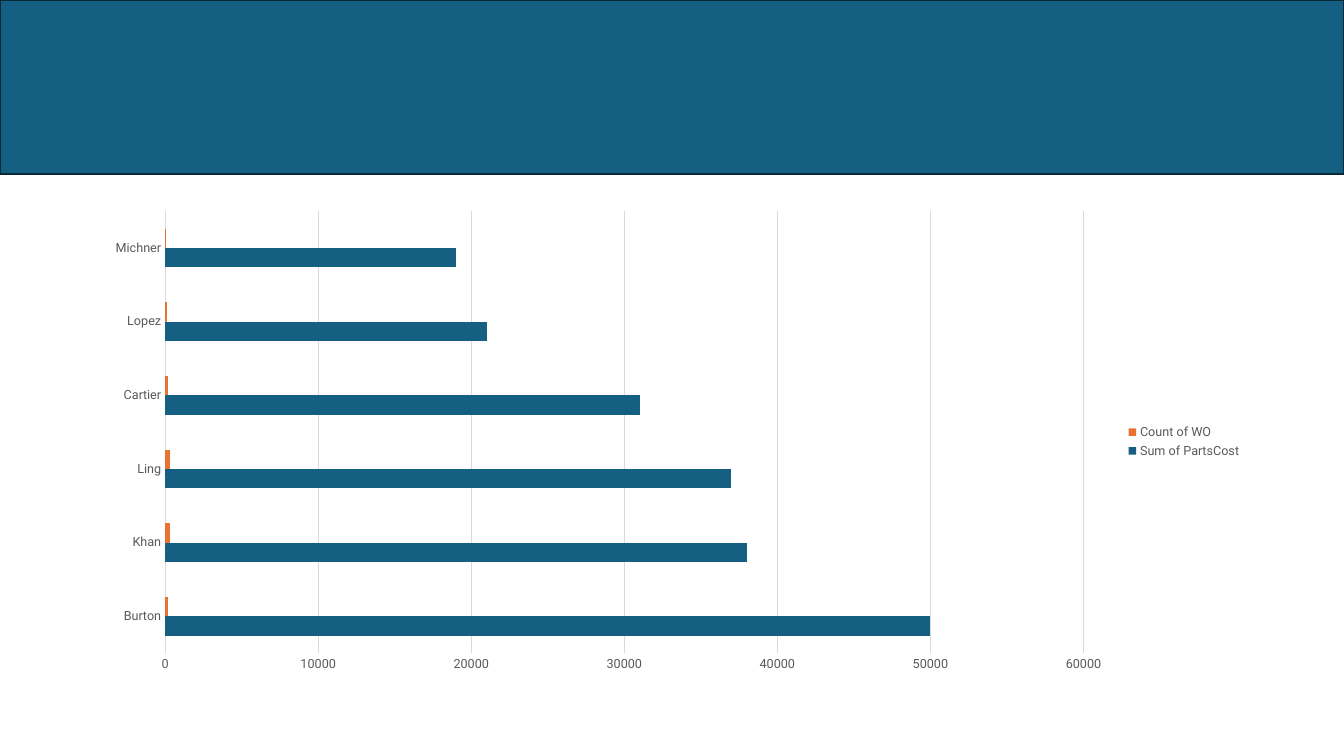
from dataclasses import dataclass

from pptx import Presentation
from pptx import util as u
from pptx.chart.data import CategoryChartData
from pptx.dml.color import RGBColor
from pptx.enum import chart as ch, shapes

COLORS = {
    "blue": "156082",
    "navy": "092A39",
    "orange": "E97132",
    "grey": "595959",
    "rule": "D9D9D9",
}
FONT = "Roboto"
WIDTH, HEIGHT = u.Inches(13.33), u.Inches(7.5)


@dataclass(frozen=True)
class PercentBox:
    left: float
    top: float
    width: float
    height: float

    def place(self) -> tuple[int, int, int, int]:
        return (int(self.left * WIDTH / 100), int(self.top * HEIGHT / 100),
                int(self.width * WIDTH / 100), int(self.height * HEIGHT / 100))


@dataclass(frozen=True)
class Measure:
    name: str
    values: tuple[int, ...]
    color: str


BANNER = PercentBox(0, 0, 100, 23.07)
CHART = PercentBox(6.88, 26.67, 86.25, 63.47)
TECHNICIANS = ("Burton", "Khan", "Ling", "Cartier", "Lopez", "Michner")
MEASURES = (
    Measure("Sum of PartsCost", (50000, 38000, 37000, 31000, 21000, 19000), "blue"),
    Measure("Count of WO", (200, 300, 300, 200, 100, 40), "orange"),
)


def rgb(name: str) -> RGBColor:
    return RGBColor.from_string(COLORS[name])


def paint(fill, color: str) -> None:
    fill.solid()
    fill.fore_color.rgb = rgb(color)


def draw_line(line, color: str, points: float) -> None:
    paint(line.fill, color)
    line.width = u.Pt(points)


def set_font(font, size: float) -> None:
    font.name = FONT
    font.size = u.Pt(size)
    font.color.rgb = rgb("grey")


def add_banner(slide, box: PercentBox) -> None:
    sp = slide.shapes.add_shape(shapes.MSO_SHAPE.RECTANGLE, *box.place())
    sp.shadow.inherit = False
    paint(sp.fill, "blue")
    draw_line(sp.line, "navy", 1.5)


def style_axis(axis) -> None:
    axis.major_tick_mark = axis.minor_tick_mark = ch.XL_TICK_MARK.NONE
    set_font(axis.tick_labels.font, 9)


def add_bars(slide, box: PercentBox, measures: tuple[Measure, ...]) -> None:
    data = CategoryChartData()
    data.categories = TECHNICIANS
    for m in measures:
        data.add_series(m.name, m.values)
    chart = slide.shapes.add_chart(
        ch.XL_CHART_TYPE.BAR_CLUSTERED, *box.place(), data).chart
    set_font(chart.font, 10)
    chart.has_title = False

    plot = chart.plots[0]
    plot.gap_width = 182
    plot.vary_by_categories = False
    for series, m in zip(plot.series, measures):
        paint(series.format.fill, m.color)
        series.invert_if_negative = False

    cat, val = chart.category_axis, chart.value_axis
    for axis in (cat, val):
        style_axis(axis)
    draw_line(cat.format.line, "rule", 0.75)
    val.format.line.fill.background()
    val.has_major_gridlines = True
    draw_line(val.major_gridlines.format.line, "rule", 0.75)
    val.minimum_scale, val.maximum_scale, val.major_unit = 0, 60000, 10000

    chart.has_legend = True
    chart.legend.position = ch.XL_LEGEND_POSITION.RIGHT
    chart.legend.include_in_layout = False
    set_font(chart.legend.font, 9)


def main() -> None:
    prs = Presentation()
    prs.slide_width, prs.slide_height = WIDTH, HEIGHT
    slide = prs.slides.add_slide(prs.slide_layouts[6])
    add_banner(slide, BANNER)
    add_bars(slide, CHART, MEASURES)
    prs.save("out.pptx")


if __name__ == "__main__":
    main()
